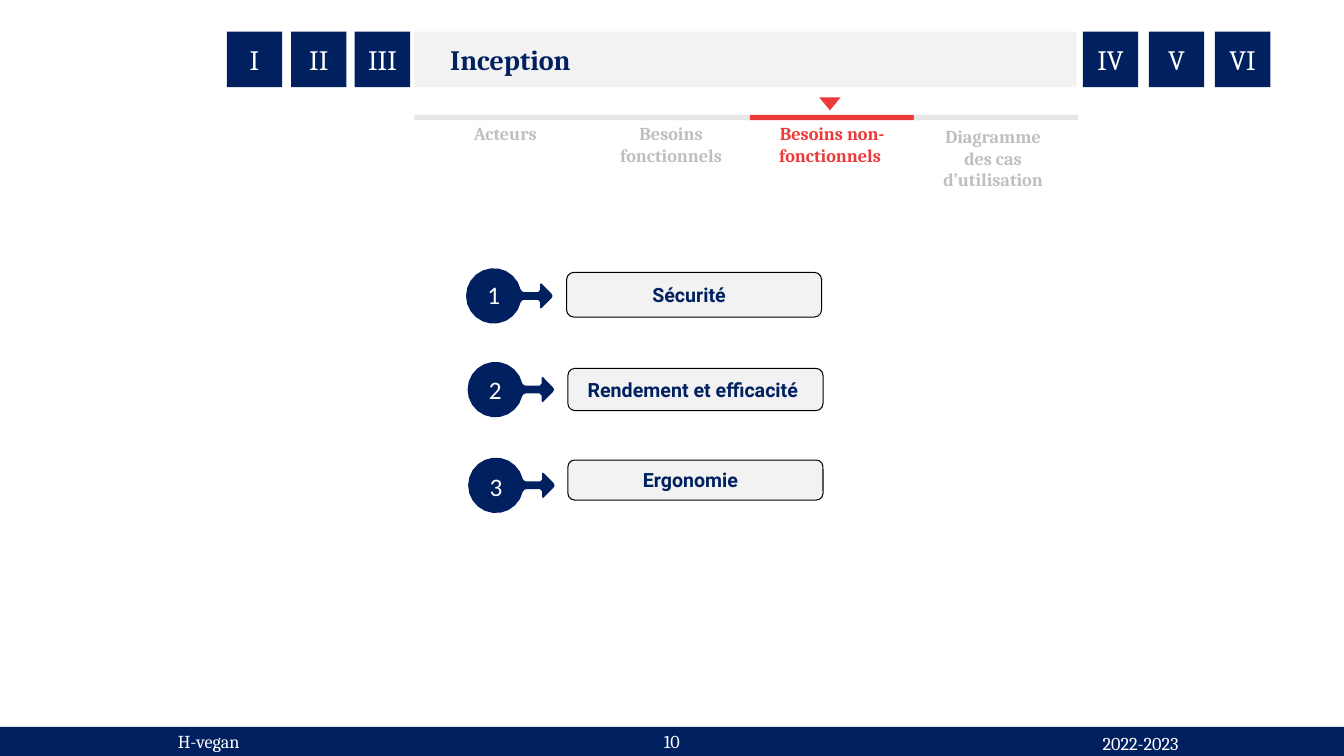
from dataclasses import dataclass
from math import cos, radians, sin

from pptx import Presentation
from pptx.dml.color import RGBColor
from pptx.enum.shapes import MSO_SHAPE
from pptx.enum.text import MSO_ANCHOR, PP_ALIGN
from pptx.shapes.autoshape import Shape
from pptx.slide import Slide
from pptx.util import Pt


@dataclass(frozen=True)
class Theme:
    navy: RGBColor = RGBColor(0x00, 0x20, 0x60)
    red: RGBColor = RGBColor(0xEC, 0x3A, 0x3B)
    panel: RGBColor = RGBColor(0xF2, 0xF2, 0xF2)
    track: RGBColor = RGBColor(0xE7, 0xE6, 0xE6)
    muted: RGBColor = RGBColor(0xBF, 0xBF, 0xBF)
    white: RGBColor = RGBColor(0xFF, 0xFF, 0xFF)
    black: RGBColor = RGBColor(0x00, 0x00, 0x00)
    serif: str = "Cambria"
    digits: str = "Calibri"
    sans: str = "Roboto"
    heading: float = 20
    number: float = 18
    item: float = 14
    small: float = 13


THEME = Theme()


@dataclass(frozen=True)
class Box:
    left: float
    top: float
    width: float
    height: float


@dataclass(frozen=True)
class Style:
    font: str
    size: float
    color: RGBColor
    bold: bool = False
    align: PP_ALIGN = PP_ALIGN.CENTER
    anchor: MSO_ANCHOR = MSO_ANCHOR.MIDDLE


@dataclass(frozen=True)
class Section:
    numeral: str
    left: float


@dataclass(frozen=True)
class Tab:
    label: str
    box: Box
    active: bool = False


@dataclass(frozen=True)
class Need:
    label: str
    marker_left: float
    marker_middle: float
    number_top: float
    box: Box
    right_inset: float


SECTIONS = (
    Section("I", 162),
    Section("II", 207.9),
    Section("III", 253.4),
    Section("IV", 773.4),
    Section("V", 820.6),
    Section("VI", 867.8),
)
SECTION_TOP, SECTION_SIDE = 22.6, 39.6
TABS = (
    Tab("Acteurs", Box(331.3, 83.5, 87, 39)),
    Tab("Besoins fonctionnels", Box(431.3, 83.6, 96, 39)),
    Tab("Besoins non-fonctionnels ", Box(546.3, 83.6, 96, 70.6), active=True),
    Tab("Diagramme des cas d’utilisation", Box(661.3, 85.8, 96, 86.4)),
)
NEEDS = (
    Need("Sécurité", 332.9, 211.4, 195.8, Box(404.7, 194.5, 182.2, 32), 14.2),
    Need("Rendement et efficacité", 334, 278.3, 263.8, Box(405.7, 263.1, 182.2, 30.2), 10.7),
    Need("Ergonomie", 334.4, 346.7, 333.4, Box(405.7, 328.6, 182.2, 28.6), 14.2),
)
TRACK_LEFT, TRACK_TOP, TRACK_HEIGHT = 296, 82, 3.8
SEGMENT_WIDTHS = (122.4, 117.2, 117.2, 117.2)
MARKER_RADIUS = 19.8
ARC_STEPS = 10
ARC_END = 13
ARROW_EDGE = (
    (40.2, 3.2), (41.4, 2.8), (51.5, 2.8), (52.9, 4.3), (52.9, 8.6), (53.8, 8.9), (61, 1.7), (61.8, 0),
)


def write(shape: Shape, text: str, style: Style) -> None:
    frame = shape.text_frame
    frame.word_wrap = True
    frame.vertical_anchor = style.anchor
    para = frame.paragraphs[0]
    para.alignment = style.align
    span = para.add_run()
    span.text = text
    span.font.name = style.font
    span.font.size = Pt(style.size)
    span.font.bold = style.bold
    span.font.color.rgb = style.color


def paint(shape: Shape, color: RGBColor) -> None:
    shape.shadow.inherit = False
    shape.fill.solid()
    shape.fill.fore_color.rgb = color
    shape.line.fill.background()


def place(box: Box) -> tuple[Pt, Pt, Pt, Pt]:
    return Pt(box.left), Pt(box.top), Pt(box.width), Pt(box.height)


def draw_shape(page: Slide, kind: MSO_SHAPE, box: Box, color: RGBColor) -> Shape:
    shape = page.shapes.add_shape(kind, *place(box))
    paint(shape, color)
    return shape


def draw_text(page: Slide, box: Box, text: str, style: Style) -> Shape:
    shape = page.shapes.add_textbox(*place(box))
    write(shape, text, style)
    return shape


def draw_title(page: Slide) -> None:
    banner = draw_shape(page, MSO_SHAPE.RECTANGLE, Box(296, SECTION_TOP, 473, SECTION_SIDE), THEME.panel)
    title = page.shapes.title
    title.element.addprevious(banner.element)
    title.left, title.top, title.width, title.height = place(Box(314.4, 26.6, 325.4, 31.6))
    write(title, "Inception", Style(THEME.serif, THEME.heading, THEME.navy, True, PP_ALIGN.LEFT))


def draw_sections(page: Slide) -> None:
    for section in SECTIONS:
        box = Box(section.left, SECTION_TOP, SECTION_SIDE, SECTION_SIDE)
        square = draw_shape(page, MSO_SHAPE.RECTANGLE, box, THEME.navy)
        write(square, section.numeral, Style(THEME.serif, THEME.heading, THEME.white))


def draw_tabs(page: Slide) -> None:
    left = TRACK_LEFT
    for tab, width in zip(TABS, SEGMENT_WIDTHS):
        segment = Box(left, TRACK_TOP, width, TRACK_HEIGHT)
        draw_shape(page, MSO_SHAPE.RECTANGLE, segment, THEME.red if tab.active else THEME.track)
        color = THEME.red if tab.active else THEME.muted
        align = PP_ALIGN.LEFT if tab is TABS[0] else PP_ALIGN.CENTER
        draw_text(page, tab.box, tab.label, Style(THEME.serif, THEME.small, color, True, align, MSO_ANCHOR.TOP))
        left += width
    pointer = draw_shape(page, MSO_SHAPE.ISOSCELES_TRIANGLE, Box(585.2, 69.6, 15.2, 9.2), THEME.red)
    pointer.rotation = 180


def marker_outline() -> list[tuple[int, int]]:
    angles = [radians(180 - (180 - ARC_END) * step / ARC_STEPS) for step in range(ARC_STEPS + 1)]
    arc = [(MARKER_RADIUS * (1 + cos(angle)), MARKER_RADIUS * sin(angle)) for angle in angles]
    upper = arc + list(ARROW_EDGE)
    lower = [(x, -y) for x, y in reversed(upper[1:-1])]
    return [(round(x * 100), round(y * 100)) for x, y in upper + lower]


def draw_marker(page: Slide, left: float, middle: float) -> None:
    start, *rest = marker_outline()
    builder = page.shapes.build_freeform(*start, scale=Pt(1) / 100)
    builder.add_line_segments(rest, close=True)
    paint(builder.convert_to_shape(Pt(left), Pt(middle)), THEME.navy)


def draw_needs(page: Slide) -> None:
    for number, need in enumerate(NEEDS, 1):
        draw_marker(page, need.marker_left, need.marker_middle)
        digit_box = Box(need.marker_left + MARKER_RADIUS - 12, need.number_top, 24, 29)
        digit = draw_text(
            page, digit_box, str(number),
            Style(THEME.digits, THEME.number, THEME.white, anchor=MSO_ANCHOR.TOP),
        )
        digit.text_frame.word_wrap = False
        card = draw_shape(page, MSO_SHAPE.ROUNDED_RECTANGLE, need.box, THEME.panel)
        card.line.color.rgb = THEME.black
        card.line.width = Pt(0.75)
        write(card, need.label, Style(THEME.sans, THEME.item, THEME.navy, True))
        card.text_frame.margin_right = Pt(need.right_inset)


def draw_footer(page: Slide) -> None:
    draw_shape(page, MSO_SHAPE.RECTANGLE, Box(0, 519.2, 960, 20.8), THEME.navy)
    side = Style(THEME.serif, THEME.small, THEME.white, align=PP_ALIGN.LEFT, anchor=MSO_ANCHOR.TOP)
    draw_text(page, Box(120, 518.4, 158, 21.6), "H-vegan", side)
    draw_text(page, Box(358.6, 519.2, 242.6, 20.8), "10", Style(THEME.serif, THEME.small, THEME.white))
    draw_text(page, Box(780.5, 519.2, 136, 20.8), "2022-2023", side)


def main() -> None:
    deck = Presentation()
    deck.slide_width, deck.slide_height = Pt(960), Pt(540)
    page = deck.slides.add_slide(deck.slide_layouts[5])
    draw_title(page)
    draw_sections(page)
    draw_tabs(page)
    draw_needs(page)
    draw_footer(page)
    deck.save("out.pptx")


if __name__ == "__main__":
    main()
